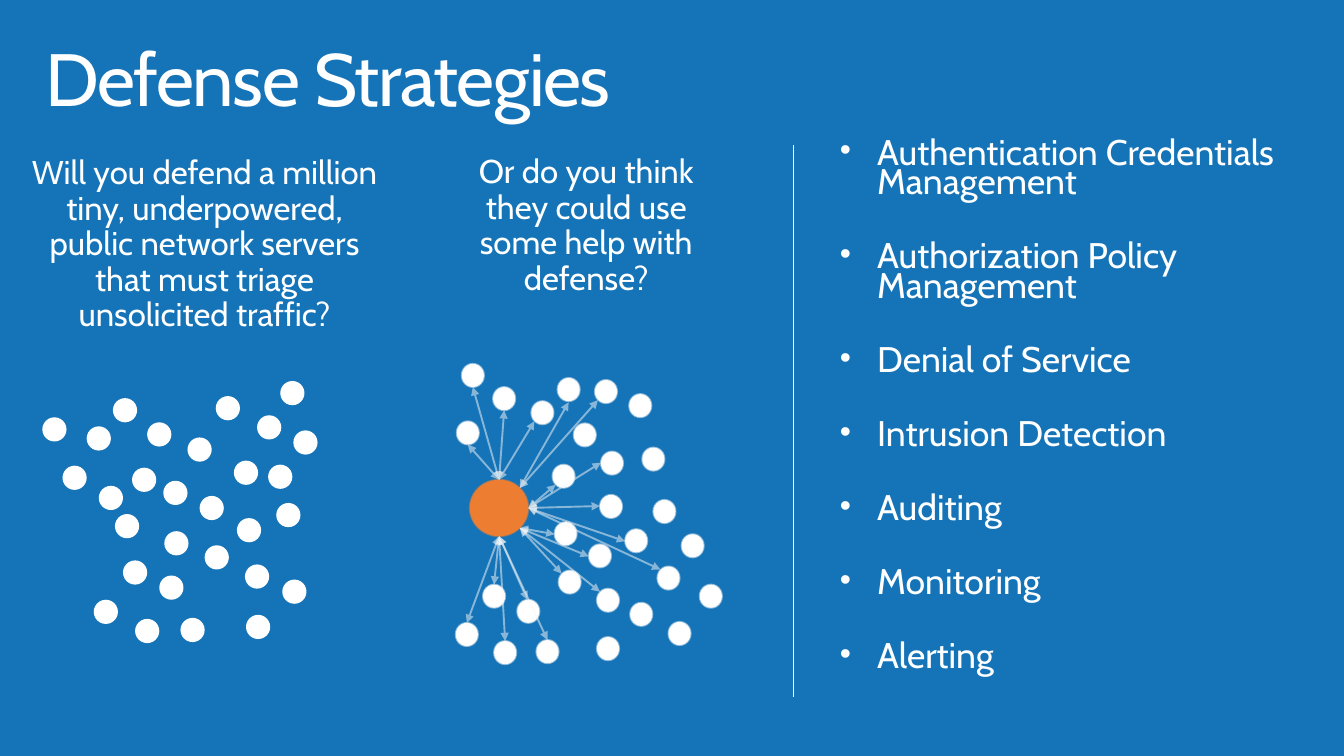
from math import cos, radians, sin

from pptx import Presentation
from pptx.dml.color import RGBColor
from pptx.enum.shapes import MSO_CONNECTOR as Connector, MSO_SHAPE as Shape
from pptx.enum.text import MSO_ANCHOR as Anchor, MSO_AUTO_SIZE as AutoSize, PP_ALIGN as Align
from pptx.oxml.ns import qn
from pptx.util import Inches, Pt
from lxml.etree import SubElement

# Content
TITLE = "Defense Strategies"
STRATEGIES = [
    "Authentication Credentials Management",
    "Authorization Policy Management",
    "Denial of Service",
    "Intrusion Detection",
    "Auditing",
    "Monitoring",
    "Alerting",
]
QUESTIONS = [
    ("Will you defend a million tiny, underpowered, public network servers "
     "that must triage unsolicited traffic?", (0.11, 1.39, 3.84, 2.1)),
    ("Or do you think they could use some help with defense?", (4.31, 1.38, 3.01, 1.74)),
]

# Left and top of each server
LONE_SERVERS = [
    (0.42, 4.14), (0.62, 4.62), (1.12, 3.95), (1.46, 4.19), (1.31, 4.64), (1.62, 4.77),
    (0.86, 4.23), (0.98, 4.82), (1.86, 4.34), (1.98, 4.92), (1.63, 5.27), (2.78, 3.78),
    (2.14, 3.93), (2.55, 4.12), (2.66, 4.61), (2.91, 4.27), (2.32, 4.57), (2.35, 5.14),
    (2.03, 5.41), (2.43, 5.6), (2.74, 4.99), (2.8, 5.75), (2.44, 6.1), (1.22, 5.56),
    (0.93, 5.95), (1.34, 6.14), (1.58, 5.71), (1.79, 6.13), (1.14, 5.1),
]
HELPED_SERVERS = [
    (6.52, 5.62), (6.94, 5.8), (4.58, 3.61), (4.89, 3.84), (5.96, 4.48), (5.95, 4.91),
    (6.48, 4.96), (6.76, 5.3), (5.27, 3.98), (5.5, 5.18), (5.48, 4.61), (6.37, 4.44),
    (5.53, 3.75), (5.9, 3.77), (6.63, 6.17), (6.24, 3.91), (5.69, 4.2), (5.84, 5.4),
    (5.54, 5.66), (5.92, 5.84), (6.2, 5.25), (6.25, 5.98), (5.92, 6.32), (4.79, 5.8),
    (4.52, 6.18), (4.9, 6.36), (5.13, 5.95), (5.32, 6.35), (4.53, 4.18),
]
HUB = (4.66, 4.76, 0.58, 0.56)
# Angle on the hub's edge (clockwise from the right) -> server ends of its spokes
SPOKES = {
    -90: [(4.64, 4.41), (4.69, 3.84), (5, 4.07), (5.3, 4.18)],
    -45: [(5.64, 3.99), (5.93, 3.97)],
    0: [(5.51, 4.81), (5.95, 5.02), (5.96, 4.59), (6.2, 5.37), (6.55, 5.65)],
    45: [(5.57, 5.69), (5.5, 5.3), (5.84, 5.52), (5.95, 5.87)],
    90: [(4.9, 5.8), (5.23, 5.95), (4.63, 6.18), (5.01, 6.36), (5.43, 6.35)],
}

# Formats
FONT = "Cabin"
BLUE, WHITE, PALE, ORANGE = "1574B8", "FFFFFF", "F9F9F9", "ED7D31"
SPOKE_WIDTH = 1.35


def color(hex_value):
    return RGBColor.from_string(hex_value)


def set_all(target, formats):
    for name, value in formats.items():
        setattr(target, name, value)


def place(shape, box):
    set_all(shape, dict(zip(("left", "top", "width", "height"), map(Inches, box))))


def set_frame(frame, side, edge, **formats):
    set_all(frame, dict(margin_left=Inches(side), margin_right=Inches(side),
                        margin_top=Inches(edge), margin_bottom=Inches(edge),
                        word_wrap=True, **formats))


def write(paragraph, text, size, **formats):
    run = paragraph.add_run()
    run.text = text
    set_all(run.font, {"name": FONT, "size": Pt(size)})
    run.font.color.rgb = color(WHITE)
    set_all(paragraph, formats)
    return run


def set_line(line, hex_value, width, opacity=None):
    line.color.rgb = color(hex_value)
    line.width = Pt(width)
    if opacity:
        tint = line.fill._xPr.find(qn("a:solidFill"))[0]
        SubElement(tint, qn("a:alpha"), val=str(opacity * 1000))


def add_dot(shapes, box, fill, outline=None):
    dot = shapes.add_shape(Shape.OVAL, *map(Inches, box))
    dot.shadow.inherit = False
    dot.fill.solid()
    dot.fill.fore_color.rgb = color(fill)
    if outline:
        set_line(dot.line, outline, SPOKE_WIDTH, 50)
    else:
        dot.line.fill.background()


def add_line(shapes, start, end, *line_format):
    line = shapes.add_connector(Connector.STRAIGHT, *map(Inches, (*start, *end)))
    set_line(line.line, *line_format)
    SubElement(line._element.spPr, qn("a:effectLst"))
    return line


prs = Presentation()
prs.slide_width, prs.slide_height = Inches(13.33), Inches(7.5)
slide = prs.slides.add_slide(prs.slide_layouts[1])
slide.background.fill.solid()
slide.background.fill.fore_color.rgb = color(BLUE)

# Title
title = slide.shapes.title
place(title, (0.29, 0.32, 12.62, 0.98))
set_frame(title.text_frame, 0.16, 0.1, vertical_anchor=Anchor.TOP, auto_size=AutoSize.NONE)
heading = write(title.text_frame.paragraphs[0], TITLE, 52.9,
                alignment=Align.LEFT, line_spacing=0.9)
heading.font._element.set("spc", "-100")

# Strategy list
strategies = slide.placeholders[1]
place(strategies, (8.17, 1.3, 5, 5.9))
set_frame(strategies.text_frame, 0.16, 0.1, vertical_anchor=Anchor.TOP, auto_size=AutoSize.NONE)
for i, strategy in enumerate(STRATEGIES):
    item = strategies.text_frame.add_paragraph() if i else strategies.text_frame.paragraphs[0]
    write(item, strategy, 25.4, line_spacing=0.7, space_before=Pt(31.5 if i else 5))
    props = item._p.get_or_add_pPr()
    props.set("marL", str(Inches(0.37)))
    props.set("indent", str(-Inches(0.37)))
    SubElement(props, qn("a:buSzPct"), val="90000")
    SubElement(props, qn("a:buFont"), typeface="Arial")
    SubElement(props, qn("a:buChar"), char="•")

# Questions
for question, box in QUESTIONS:
    question_box = slide.shapes.add_textbox(*map(Inches, box))
    set_frame(question_box.text_frame, 0.2, 0.16, auto_size=AutoSize.SHAPE_TO_FIT_TEXT)
    write(question_box.text_frame.paragraphs[0], question, 23.5,
          alignment=Align.CENTER, line_spacing=0.9, space_after=Pt(5.9))

# Servers on their own
lone_group = slide.shapes.add_group_shape().shapes
for spot in LONE_SERVERS:
    add_dot(lone_group, (*spot, 0.24, 0.24), WHITE)

# Servers around a defending hub
helped_group = slide.shapes.add_group_shape().shapes
for spot in HELPED_SERVERS:
    add_dot(helped_group, (*spot, 0.22, 0.23), WHITE, PALE)
add_dot(helped_group, HUB, ORANGE, ORANGE)

hub_left, hub_top, hub_width, hub_height = HUB
for angle, server_ends in SPOKES.items():
    hub_edge = (hub_left + hub_width / 2 * (1 + cos(radians(angle))),
                hub_top + hub_height / 2 * (1 + sin(radians(angle))))
    for server_end in server_ends:
        spoke = add_line(helped_group, server_end, hub_edge, PALE, SPOKE_WIDTH, 50)
        for arrowhead in ("a:headEnd", "a:tailEnd"):
            SubElement(spoke.line._get_or_add_ln(), qn(arrowhead), type="triangle")

# Divider
add_line(slide.shapes, (7.87, 1.44), (7.87, 6.91), WHITE, 0.75)

prs.save("out.pptx")
